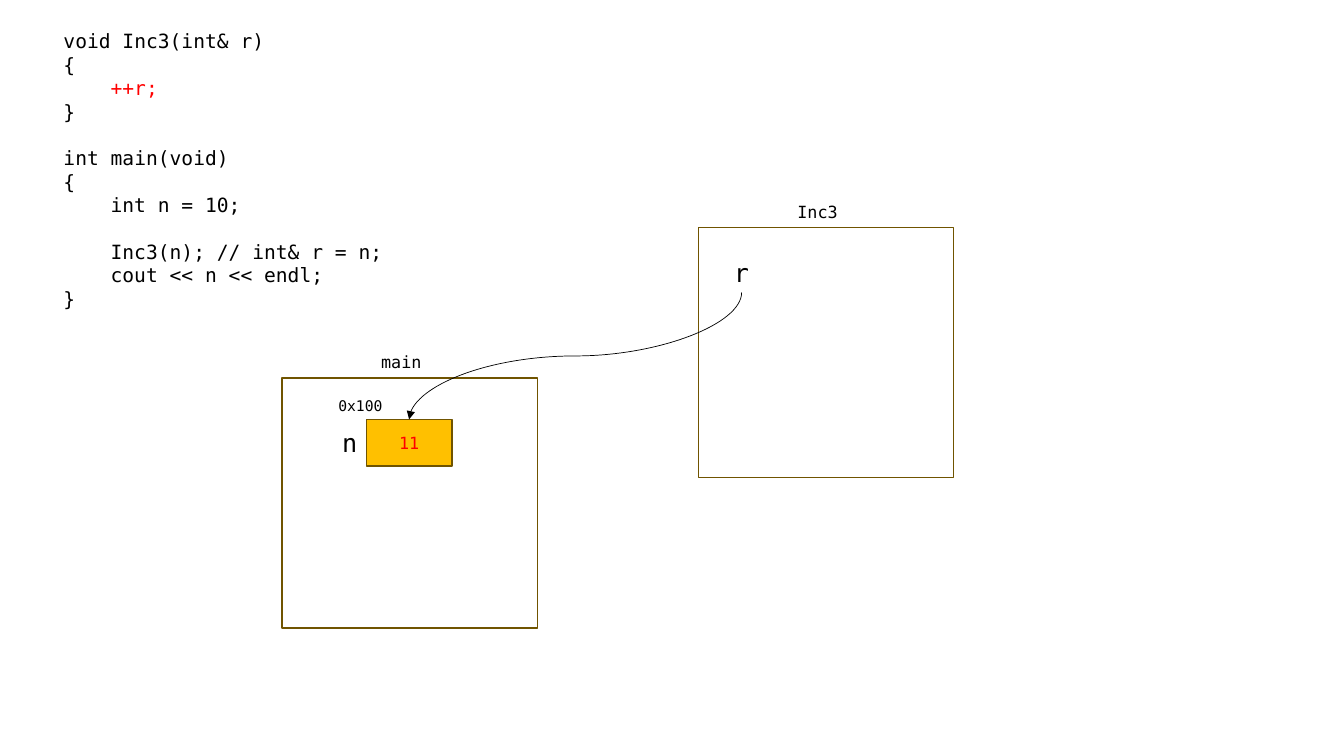
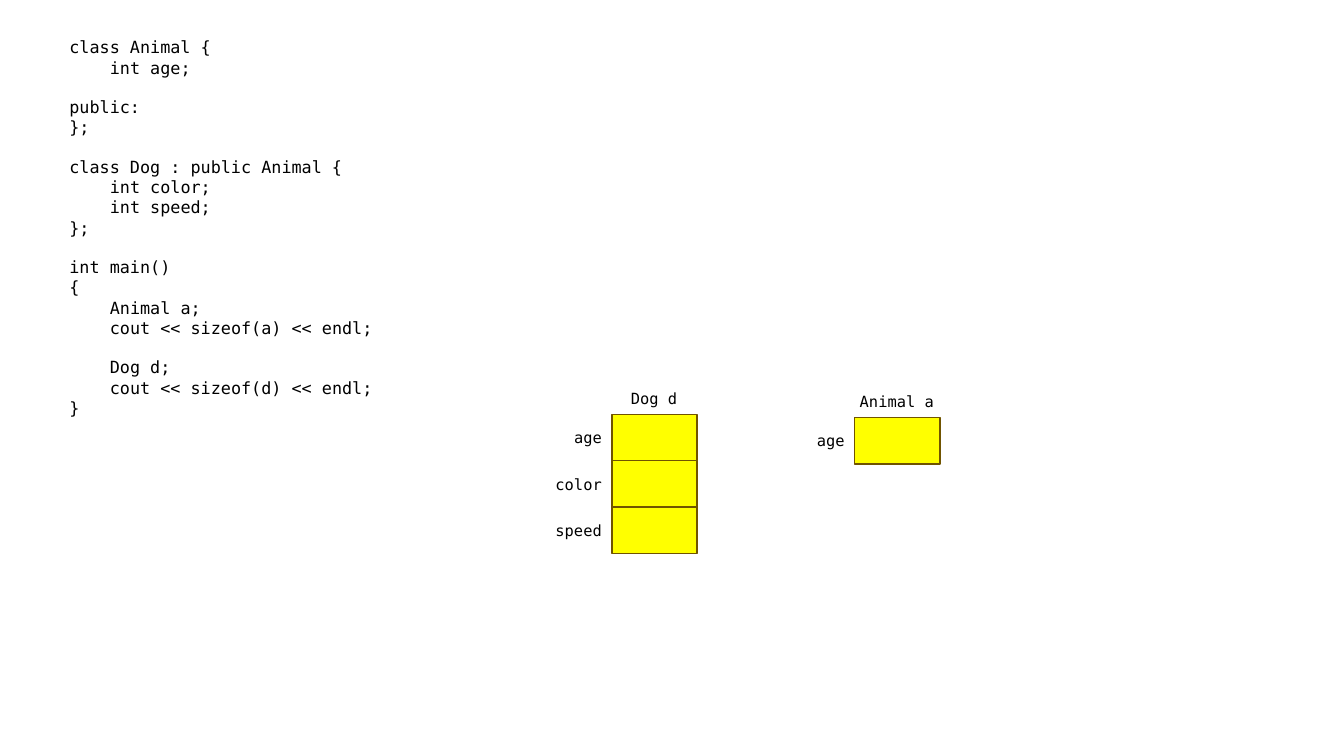
import pptx
import pptx.dml.color
import pptx.enum.shapes
import pptx.enum.text
import pptx.oxml
import pptx.oxml.ns
import pptx.util

Cm = pptx.util.Cm
Pt = pptx.util.Pt
ALIGN = pptx.enum.text.PP_ALIGN

BLACK, RED, WHITE = "000000", "FF0000", "FFFFFF"
BORDER, ORANGE, YELLOW = "705400", "FFC000", "FFFF00"
FONT = "DejaVu Sans Mono"
CHARACTER_WIDTH, LINE_HEIGHT = 0.602, 1.164
CODE_WIDTH = 16.94
CELL_WIDTH, CELL_HEIGHT = 2.15, 1.17
FRAME_WIDTH, FRAME_HEIGHT = 6.43, 6.3
TEXT_FRAME_FORMAT = {
    "word_wrap": True,
    "auto_size": pptx.enum.text.MSO_AUTO_SIZE.SHAPE_TO_FIT_TEXT,
}

REFERENCE_CODE = """void Inc3(int& r)
{
    ++r;
}

int main(void)
{
    int n = 10;

    Inc3(n); // int& r = n;
    cout << n << endl;
}"""
INHERITANCE_CODE = """class Animal {
    int age;

public:
};

class Dog : public Animal {
    int color;
    int speed;
};

int main()
{
    Animal a;
    cout << sizeof(a) << endl;

    Dog d;
    cout << sizeof(d) << endl;
}"""

CALL_FRAMES = [("main", 7.11, 9.53), ("Inc3", 17.6, 5.74)]
VARIABLE_CELL = ("11", 9.24, 10.57)
VARIABLE_LABELS = [
    ("n", (8.28, 10.64, 1.07, 1.02), 18, ALIGN.CENTER),
    ("0x100", (8.28, 9.88, 2.13, 0.74), 10.5, ALIGN.LEFT),
    ("r", (17.96, 6.35, 1.45, 1.02), 18, ALIGN.CENTER),
]
REFERENCE_START, REFERENCE_END = (18.69, 7.37), (10.31, 10.57)

OBJECTS = [
    ("Dog d", 15.42, 10.44, ["age", "color", "speed"]),
    ("Animal a", 21.54, 10.52, ["age"]),
]
FIELD_LABEL_WIDTHS = {"age": 1.91, "color": 2.34, "speed": 2.44}


def rgb(color):
    return pptx.dml.color.RGBColor.from_string(color)


def apply_format(target, values):
    for name, value in values.items():
        setattr(target, name, value)


def write(paragraph, text, size, color=BLACK, alignment=ALIGN.LEFT):
    paragraph.alignment = alignment
    run = paragraph.add_run()
    run.text = text
    apply_format(run.font, {"name": FONT, "size": Pt(size)})
    run.font.color.rgb = rgb(color)


def add_text_frame(slide, box):
    text_frame = slide.shapes.add_textbox(*map(Cm, box)).text_frame
    apply_format(text_frame, TEXT_FRAME_FORMAT)
    return text_frame


def add_label(slide, text, box, size, alignment=ALIGN.CENTER):
    write(add_text_frame(slide, box).paragraphs[0], text, size, BLACK, alignment)


def add_code(slide, code, left, top, size, highlighted=()):
    lines = code.splitlines()
    height = len(lines) * size * LINE_HEIGHT / 72 * 2.54 + 0.5
    text_frame = add_text_frame(slide, (left, top, CODE_WIDTH, round(height, 2)))
    paragraph, gap = text_frame.paragraphs[0], 0
    for number, line in enumerate(lines):
        text = line.strip()
        if not text:
            gap = size * LINE_HEIGHT
            continue
        if number:
            paragraph = text_frame.add_paragraph()
        write(paragraph, text, size, RED if text in highlighted else BLACK)
        paragraph.space_before = Pt(gap)
        gap = 0
        indent = Pt((len(line) - len(text)) * size * CHARACTER_WIDTH)
        properties = paragraph._p.get_or_add_pPr()
        properties.set("marL", str(int(indent)))
        properties.set("indent", "0")


def add_rectangle(slide, box, fill):
    shape = slide.shapes.add_shape(
        pptx.enum.shapes.MSO_SHAPE.RECTANGLE, *map(Cm, box))
    shape.shadow.inherit = False
    shape.fill.solid()
    shape.fill.fore_color.rgb = rgb(fill)
    shape.line.color.rgb = rgb(BORDER)
    shape.line.width = Pt(1)
    return shape


def add_vertical_curve(slide, start, end):
    center_x, center_y = (start[0] + end[0]) / 2, (start[1] + end[1]) / 2
    half_length, half_span = (end[1] - start[1]) / 2, (start[0] - end[0]) / 2
    connector = slide.shapes.add_connector(
        pptx.enum.shapes.MSO_CONNECTOR.CURVE,
        Cm(center_x - half_length), Cm(center_y - half_span),
        Cm(center_x + half_length), Cm(center_y + half_span))
    connector.line.color.rgb = rgb(BLACK)
    connector.line.width = Pt(0.5)
    properties = connector._element.spPr
    properties.find(pptx.oxml.ns.qn("a:xfrm")).set("rot", str(90 * 60000))
    namespace = pptx.oxml.ns.nsdecls("a")
    connector.line._get_or_add_ln().append(
        pptx.oxml.parse_xml(f'<a:tailEnd {namespace} type="triangle"/>'))
    properties.append(pptx.oxml.parse_xml(f"<a:effectLst {namespace}/>"))


def build_reference_slide(slide):
    add_code(slide, REFERENCE_CODE, 1.35, 0.61, 14, ["++r;"])
    for name, left, top in CALL_FRAMES:
        add_rectangle(slide, (left, top, FRAME_WIDTH, FRAME_HEIGHT), WHITE)
        add_label(slide, name, (left + 0.48, top - 0.79, 5.05, 0.76), 12)
    value, left, top = VARIABLE_CELL
    cell = add_rectangle(slide, (left, top, CELL_WIDTH, CELL_HEIGHT), ORANGE)
    cell.text_frame.vertical_anchor = pptx.enum.text.MSO_ANCHOR.MIDDLE
    write(cell.text_frame.paragraphs[0], value, 12, RED, ALIGN.CENTER)
    for label in VARIABLE_LABELS:
        add_label(slide, *label)
    add_vertical_curve(slide, REFERENCE_START, REFERENCE_END)


def build_inheritance_slide(slide):
    add_code(slide, INHERITANCE_CODE, 1.5, 0.81, 12)
    for name, left, top, fields in OBJECTS:
        add_label(slide, name, (left - 0.18, top - 0.76, 2.49, 0.74), 11)
        for row, field in enumerate(fields):
            cell_top = top + row * CELL_HEIGHT
            add_rectangle(slide, (left, cell_top, CELL_WIDTH, CELL_HEIGHT), YELLOW)
            width = FIELD_LABEL_WIDTHS[field]
            add_label(slide, field, (left - width, cell_top + 0.23, width, 0.74),
                      11, ALIGN.RIGHT)


presentation = pptx.Presentation()
apply_format(presentation, {"slide_width": Cm(33.87), "slide_height": Cm(19.05)})
for build_slide in (build_reference_slide, build_inheritance_slide):
    build_slide(presentation.slides.add_slide(presentation.slide_layouts[6]))
presentation.save("out.pptx")
